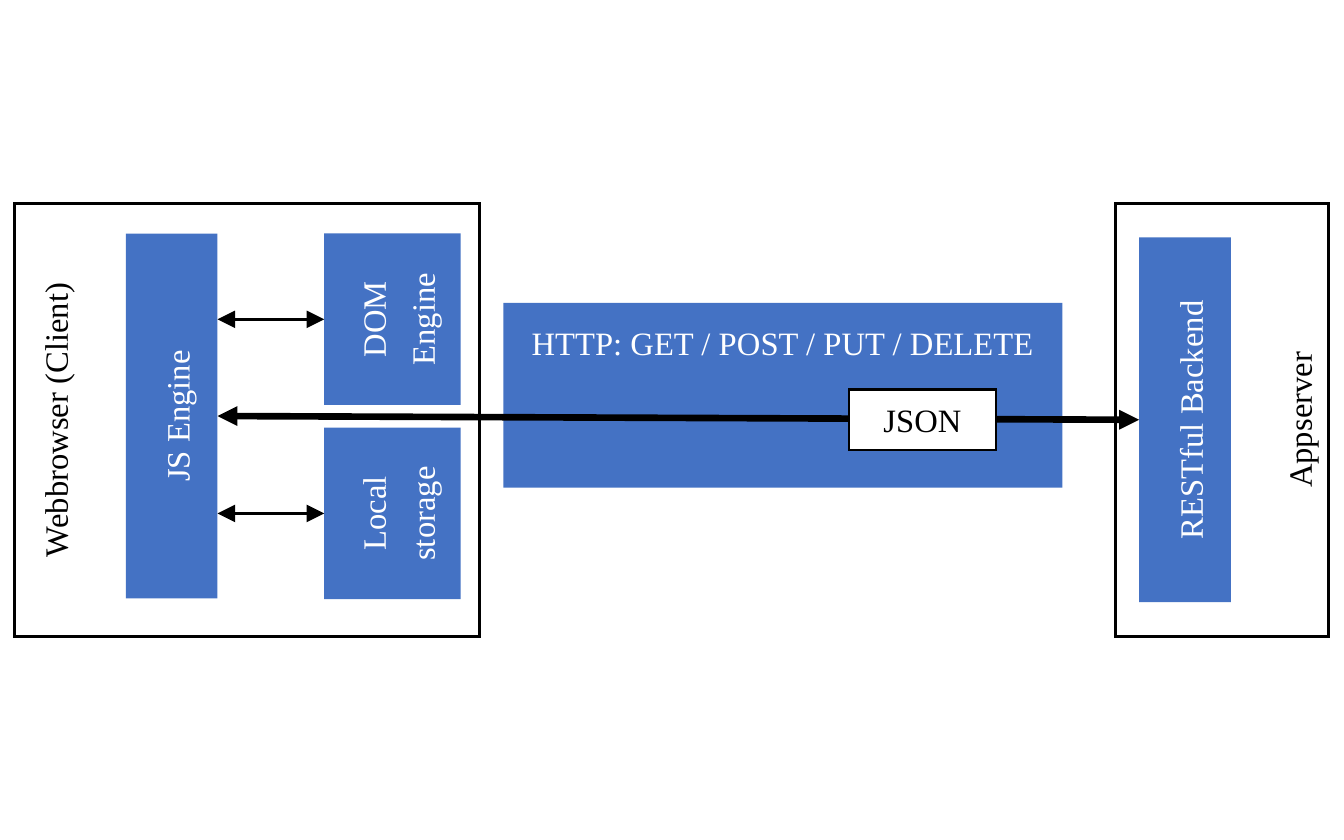
from pptx import Presentation
from pptx.dml.color import RGBColor
from pptx.enum.shapes import MSO_CONNECTOR, MSO_SHAPE
from pptx.enum.text import MSO_ANCHOR, MSO_AUTO_SIZE, PP_ALIGN
from pptx.oxml.ns import qn
from pptx.util import Inches, Pt
from lxml.etree import SubElement

COLORS = {"black": "000000", "white": "FFFFFF", "blue": "4472C4"}
FONT = "Times New Roman"
CELL = 0.1
LEFT, RIGHT = 1, 3


def rgb(name):
    return RGBColor.from_string(COLORS[name])


def grid(cells):
    return Inches(cells * CELL)


def inside(box, x, y, w, h):
    return box[0] + x, box[1] + y, w, h


def write(sp, text, color="white", anchor=MSO_ANCHOR.TOP, upright=False,
          spacing=1.25, before=0, after=12):
    tf = sp.text_frame
    tf.word_wrap = True
    tf.vertical_anchor = anchor
    if upright:
        tf._txBody.bodyPr.set("vert", "vert270")
    p = tf.paragraphs[0]
    p.alignment = PP_ALIGN.CENTER
    p.line_spacing = spacing
    p.space_before, p.space_after = Pt(before), Pt(after)
    r = p.add_run()
    r.text = text
    r.font.name, r.font.size = FONT, Pt(11)
    r.font.color.rgb = rgb(color)


def add_box(s, box, text, fill="blue", outline=None, **style):
    sp = s.shapes.add_shape(MSO_SHAPE.RECTANGLE, *map(grid, box))
    sp.shadow.inherit = False
    sp.fill.solid()
    sp.fill.fore_color.rgb = rgb(fill)
    if outline:
        sp.line.color.rgb = rgb(outline)
        SubElement(sp.line._get_or_add_ln(), qn("a:miter"), lim="800000")
    else:
        sp.line.fill.background()
    write(sp, text, **style)
    return sp


def add_frame(s, box, text, anchor=MSO_ANCHOR.TOP):
    frame = add_box(s, box, text, fill="white", outline="black",
                    color="black", anchor=anchor, upright=True)
    frame.line.width = Pt(1)
    tf = frame.text_frame
    tf.margin_top = tf.margin_bottom = Inches(0.1)


def add_module(s, box, text):
    return add_box(s, box, text, anchor=MSO_ANCHOR.MIDDLE, upright=True,
                   before=12)


def add_arrow(s, start, end, width):
    arrow = s.shapes.add_connector(MSO_CONNECTOR.STRAIGHT, *start, *end)
    arrow.line.color.rgb = rgb("black")
    arrow.line.width = Pt(width)
    ln = arrow.line._get_or_add_ln()
    for tag in ("a:headEnd", "a:tailEnd"):
        SubElement(ln, qn(tag), type="triangle")
    SubElement(arrow._element.spPr, qn("a:effectLst"))
    return arrow


def middle(sp, side):
    x = sp.left + (sp.width if side == RIGHT else 0)
    return x, sp.top + sp.height // 2


def add_browser(s, box):
    add_frame(s, box, "Webbrowser (Client)")
    engine = add_module(s, inside(box, 5.2, 1.42, 4.3, 17.1), "JS Engine")
    for row, text in enumerate(("DOM Engine", "Local storage")):
        part = add_module(s, inside(box, 14.5, 1.42 + 9.1 * row, 6.4, 8.04),
                          text)
        start = middle(part, LEFT)
        arrow = add_arrow(s, start, (engine.left + engine.width, start[1]), 1)
        arrow.begin_connect(part, LEFT)
    return engine


def add_server(s, box):
    add_frame(s, box, "Appserver", anchor=MSO_ANCHOR.BOTTOM)
    return add_module(s, inside(box, 1.1, 1.6, 4.3, 17.1), "RESTful Backend")


def add_transport(s, box, engine, backend):
    add_box(s, box, "HTTP: GET / POST / PUT / DELETE")
    arrow = add_arrow(s, middle(engine, RIGHT), middle(backend, LEFT), 2.25)
    arrow.begin_connect(engine, RIGHT)
    arrow.end_connect(backend, LEFT)
    payload = add_box(s, inside(box, 16.22, 4.06, 6.86, 2.86), "JSON",
                      fill="white", outline="black", color="black",
                      spacing=1, after=0)
    payload.text_frame.auto_size = MSO_AUTO_SIZE.SHAPE_TO_FIT_TEXT


def main():
    prs = Presentation()
    prs.slide_width = Inches(6.3)
    prs.slide_height = prs.slide_width * 10 // 16
    s = prs.slides.add_slide(prs.slide_layouts[6])
    engine = add_browser(s, (0.7, 9.53, 21.8, 20.3))
    backend = add_server(s, (52.3, 9.53, 10, 20.3))
    add_transport(s, (23.6, 14.2, 26.2, 8.66), engine, backend)
    prs.save("out.pptx")


if __name__ == "__main__":
    main()
